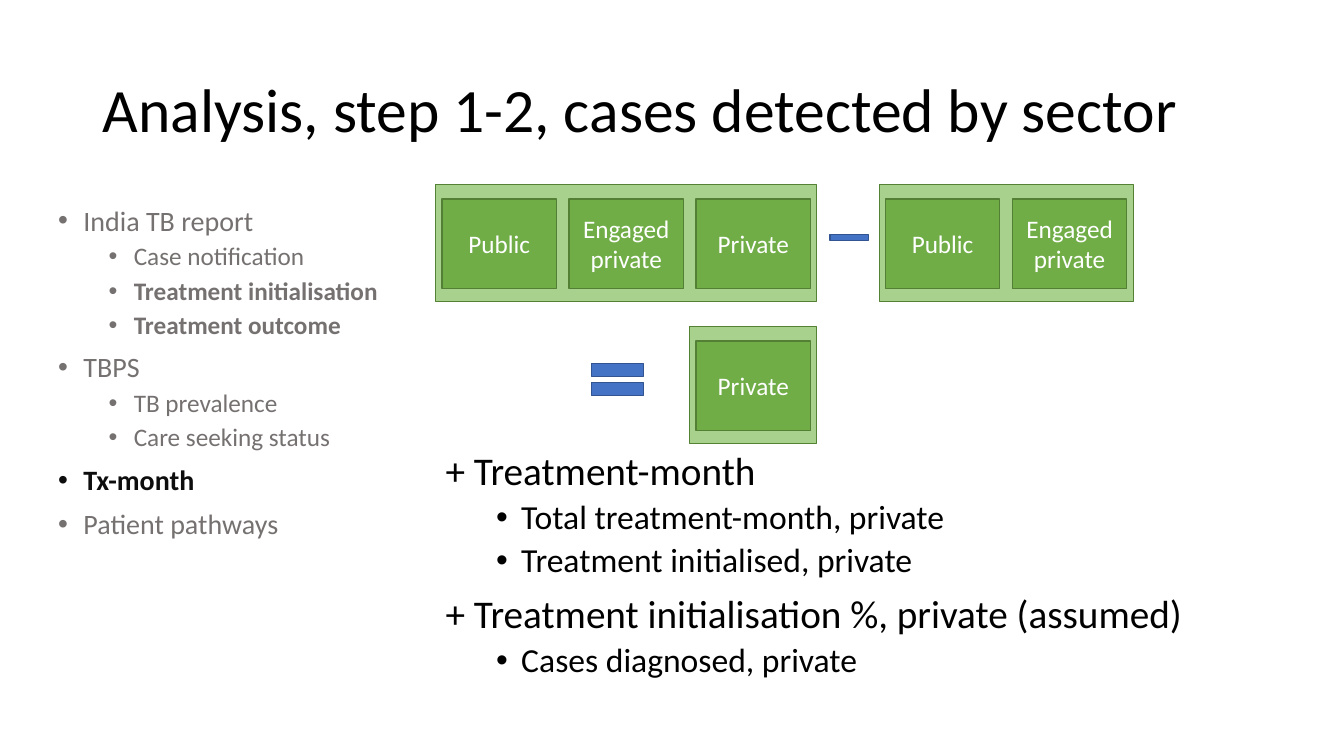
import pptx
import pptx.util
import pptx.dml.color
import pptx.enum.shapes
import pptx.enum.text
import pptx.oxml
import pptx.oxml.ns

SLIDE_WIDTH, SLIDE_HEIGHT = 13.33, 7.5
COLUMN, ROW = 1.26, 1.41
FONT = "Calibri"
GREY, NEAR_BLACK, BLACK, WHITE = "767171", "0D0D0D", "000000", "FFFFFF"
PANEL = {"fill": "A9D18E", "line": "548235", "weight": 0.75}
TILE = {"fill": "70AD47", "line": "538035", "weight": 1}
OPERATOR = {"fill": "4472C4", "line": "325491", "weight": 1}
SHAPES = pptx.enum.shapes.MSO_SHAPE
ANCHOR = pptx.enum.text.MSO_ANCHOR
ALIGN = pptx.enum.text.PP_ALIGN

SOURCES = [
    (0, "India TB report", GREY, False),
    (1, "Case notification", GREY, False),
    (1, "Treatment initialisation", GREY, True),
    (1, "Treatment outcome", GREY, True),
    (0, "TBPS", GREY, False),
    (1, "TB prevalence", GREY, False),
    (1, "Care seeking status", GREY, False),
    (0, "Tx-month", NEAR_BLACK, True),
    (0, "Patient pathways", GREY, False),
]
STEPS = [
    (0, "+ Treatment-month", BLACK, False),
    (1, "Total treatment-month, private", BLACK, False),
    (1, "Treatment initialised, private", BLACK, False),
    (0, "+ Treatment initialisation %, private (assumed)", BLACK, False),
    (1, "Cases diagnosed, private", BLACK, False),
]
SECTOR_GROUPS = [
    (6.92, 1.3, ["Public", "Engaged private"]),
    (3.43, 1.3, ["Public", "Engaged private", "Private"]),
    (5.43, 2.3, ["Private"]),
]


def color(value):
    return pptx.dml.color.RGBColor.from_string(value)


def place(column, row, columns, rows):
    lengths = (column * COLUMN, row * ROW, columns * COLUMN, rows * ROW)
    return [pptx.util.Inches(length) for length in lengths]


def assign(target, values):
    for name, value in values.items():
        setattr(target, name, value)


def write(paragraph, text, size, text_color, bold=False):
    run = paragraph.add_run()
    run.text = text
    assign(run.font, {"name": FONT, "size": pptx.util.Pt(size), "bold": bold})
    run.font.color.rgb = color(text_color)


def add_bullet(paragraph, level):
    properties = paragraph._p.get_or_add_pPr()
    properties.set("marL", str(pptx.util.Inches(0.25 + 0.5 * level)))
    properties.set("indent", str(pptx.util.Inches(-0.25)))
    for tag, attribute, value in (("a:buFont", "typeface", "Arial"), ("a:buChar", "char", "•")):
        element = pptx.oxml.parse_xml(f"<{tag} {pptx.oxml.ns.nsdecls('a')}/>")
        element.set(attribute, value)
        properties.append(element)


def add_text_box(slide, area, anchor):
    frame = slide.shapes.add_textbox(*place(*area)).text_frame
    assign(frame, {"word_wrap": True, "vertical_anchor": anchor})
    return frame


def add_title(slide, area, text):
    paragraph = add_text_box(slide, area, ANCHOR.MIDDLE).paragraphs[0]
    paragraph.line_spacing = 0.9
    write(paragraph, text, 44, BLACK)


def add_outline(slide, area, items, sizes, bulleted_levels):
    frame = add_text_box(slide, area, ANCHOR.TOP)
    for index, (level, text, text_color, bold) in enumerate(items):
        paragraph = frame.add_paragraph() if index else frame.paragraphs[0]
        space = pptx.util.Pt(5 if level else 10)
        assign(paragraph, {"level": level, "line_spacing": 0.9, "space_before": space})
        if level in bulleted_levels:
            add_bullet(paragraph, level)
        write(paragraph, text, sizes[level], text_color, bold)


def add_block(slide, kind, area, style, text=None):
    shape = slide.shapes.add_shape(kind, *place(*area))
    shape.shadow.inherit = False
    shape.fill.solid()
    shape.fill.fore_color.rgb = color(style["fill"])
    shape.line.color.rgb = color(style["line"])
    shape.line.width = pptx.util.Pt(style["weight"])
    if text:
        assign(shape.text_frame, {"word_wrap": True, "vertical_anchor": ANCHOR.MIDDLE})
        paragraph = shape.text_frame.paragraphs[0]
        paragraph.alignment = ALIGN.CENTER
        write(paragraph, text, 18, WHITE)


def add_sector_group(slide, column, row, sectors):
    add_block(slide, SHAPES.RECTANGLE, (column, row, len(sectors), 0.82), PANEL)
    for index, sector in enumerate(sectors):
        area = (column + index + 0.05, row + 0.1, 0.9, 0.63)
        add_block(slide, SHAPES.RECTANGLE, area, TILE, sector)


def main():
    presentation = pptx.Presentation()
    presentation.slide_width = pptx.util.Inches(SLIDE_WIDTH)
    presentation.slide_height = pptx.util.Inches(SLIDE_HEIGHT)
    slide = presentation.slides.add_slide(presentation.slide_layouts[6])
    add_title(slide, (0.73, 0.28, 9.13, 1.03), "Analysis, step 1-2, cases detected by sector")
    add_outline(slide, (0.38, 1.42, 2.77, 3.38), SOURCES, (20, 18), (0, 1))
    add_block(slide, SHAPES.MATH_MINUS, (6.48, 1.58, 0.41, 0.18), OPERATOR)
    add_block(slide, SHAPES.MATH_EQUAL, (4.58, 2.48, 0.56, 0.38), OPERATOR)
    for column, row, sectors in SECTOR_GROUPS:
        add_sector_group(slide, column, row, sectors)
    add_outline(slide, (3.43, 3.14, 6.19, 2.18), STEPS, (28, 24), (1,))
    presentation.save("out.pptx")


if __name__ == "__main__":
    main()
